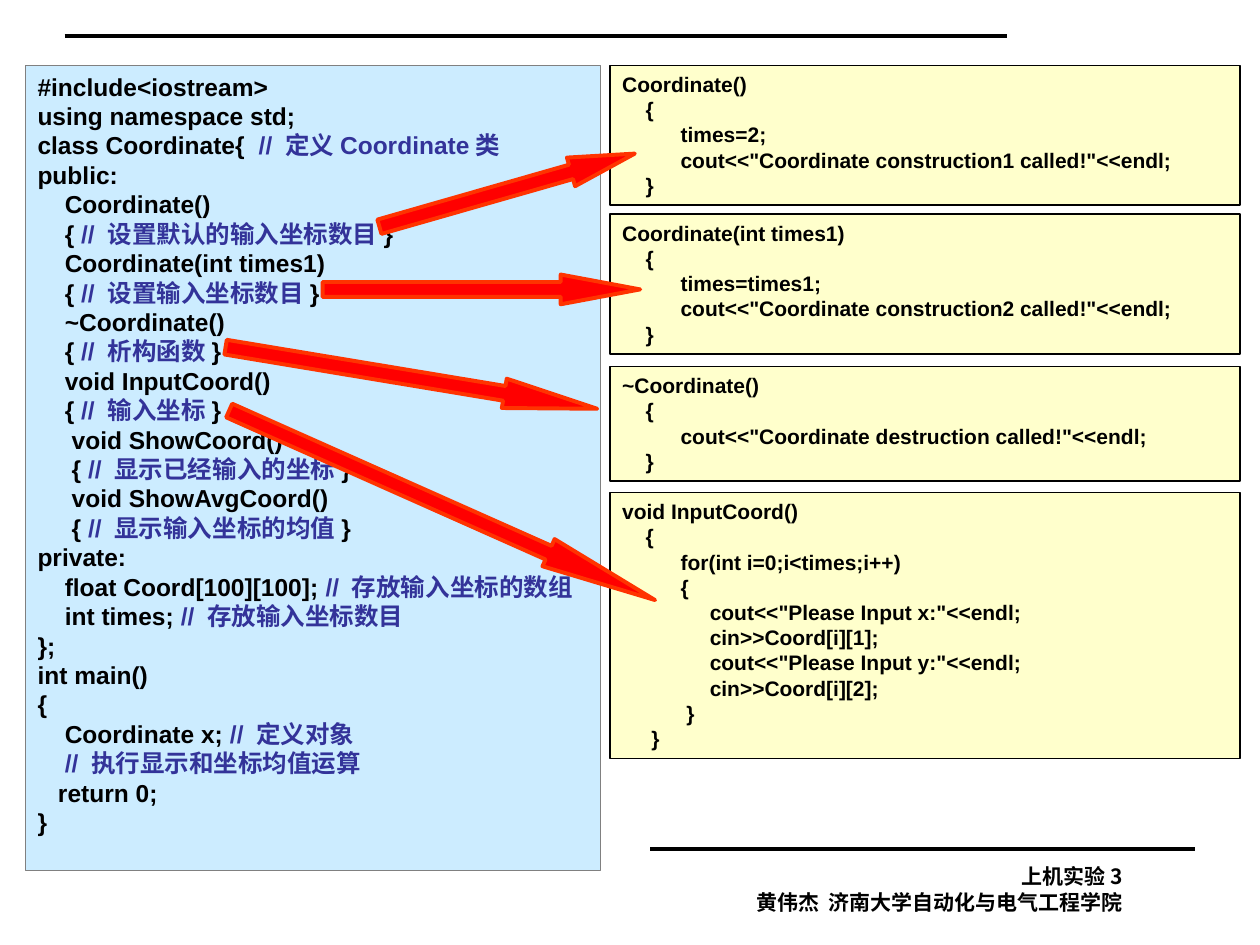
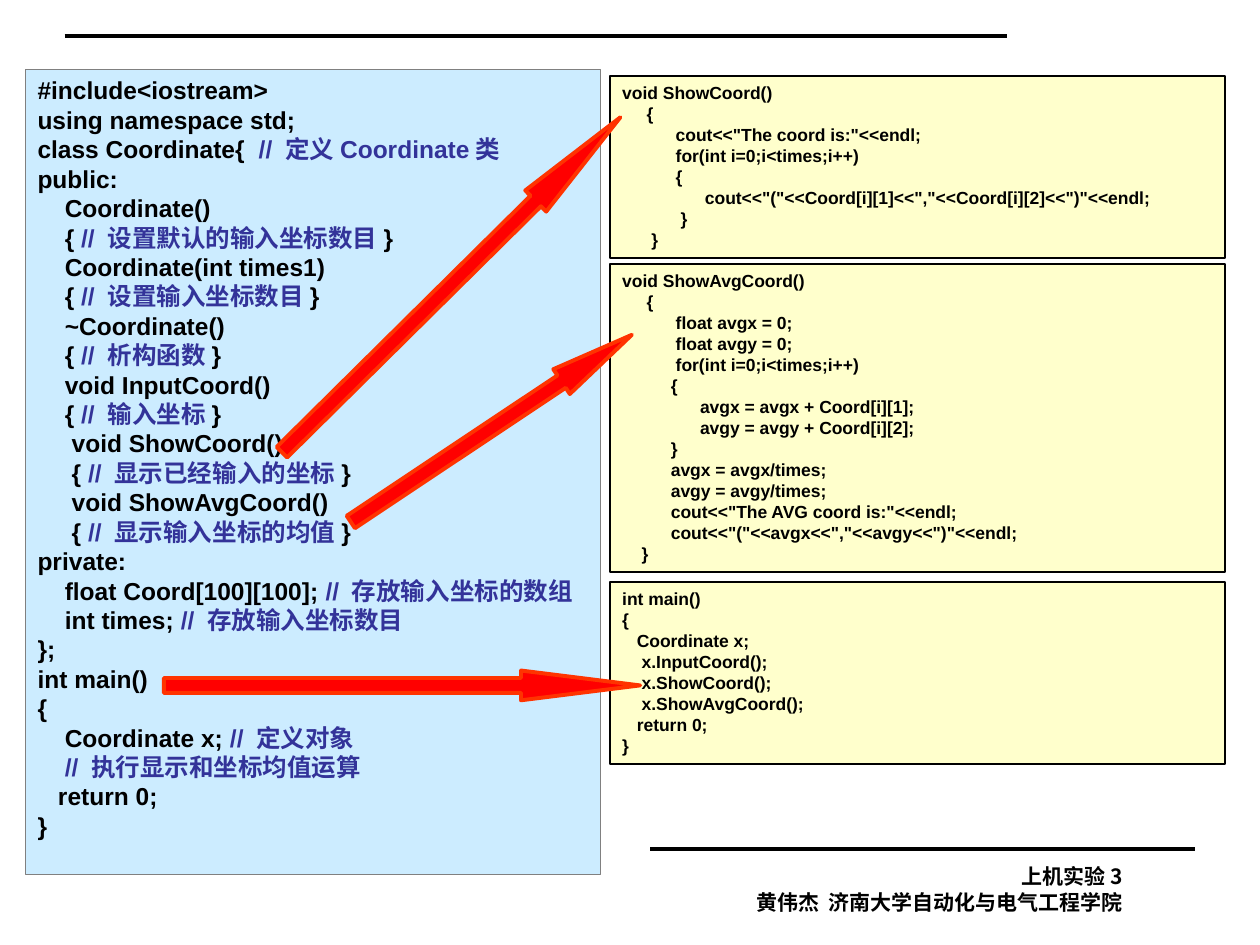
from math import atan2, degrees, hypot

from lxml.etree import SubElement
from pptx import Presentation
from pptx.dml.color import RGBColor
from pptx.enum.shapes import MSO_CONNECTOR, MSO_SHAPE
from pptx.enum.text import MSO_ANCHOR, PP_ALIGN
from pptx.oxml.ns import qn
from pptx.util import Pt

# Content
CLASS_LISTING = """\
#include<iostream>
using namespace std;
class Coordinate{  // 定义Coordinate类
public:
    Coordinate()
    { // 设置默认的输入坐标数目}
    Coordinate(int times1)
    { // 设置输入坐标数目}
    ~Coordinate()
    { // 析构函数}
    void InputCoord()
    { // 输入坐标}
     void ShowCoord()
     { // 显示已经输入的坐标}
     void ShowAvgCoord()
     { // 显示输入坐标的均值}
private:
    float Coord[100][100]; // 存放输入坐标的数组
    int times; // 存放输入坐标数目
};
int main()
{
    Coordinate x; // 定义对象
    // 执行显示和坐标均值运算
   return 0;
}"""

DEFAULT_CONSTRUCTOR = """\
Coordinate()
    {
          times=2;
          cout<<"Coordinate construction1 called!"<<endl;
    }"""

COUNT_CONSTRUCTOR = """\
Coordinate(int times1)
    {
          times=times1;
          cout<<"Coordinate construction2 called!"<<endl;
    }"""

DESTRUCTOR = """\
~Coordinate()
    {
          cout<<"Coordinate destruction called!"<<endl;
    }"""

INPUT_COORD = """\
void InputCoord()
    {
          for(int i=0;i<times;i++)
          {
               cout<<"Please Input x:"<<endl;
               cin>>Coord[i][1];
               cout<<"Please Input y:"<<endl;
               cin>>Coord[i][2];
           }
     }"""

SHOW_COORD = """\
void ShowCoord()
     {
           cout<<"The coord is:"<<endl;
           for(int i=0;i<times;i++)
           {
                 cout<<"("<<Coord[i][1]<<","<<Coord[i][2]<<")"<<endl;
            }
      }"""

SHOW_AVG_COORD = """\
void ShowAvgCoord()
     {
           float avgx = 0;
           float avgy = 0;
           for(int i=0;i<times;i++)
          {
                avgx = avgx + Coord[i][1];
                avgy = avgy + Coord[i][2];
          }
          avgx = avgx/times;
          avgy = avgy/times;
          cout<<"The AVG coord is:"<<endl;
          cout<<"("<<avgx<<","<<avgy<<")"<<endl;
    }"""

MAIN_FUNCTION = """\
int main()
{
   Coordinate x;
    x.InputCoord();
    x.ShowCoord();
    x.ShowAvgCoord();
   return 0;
}"""

FOOTER = "上机实验3\n黄伟杰  济南大学自动化与电气工程学院"

SPACE_WIDTH = 0.278  # width of an Arial space, in ems


def color(hex_code):
    return RGBColor.from_string(hex_code)


def split_comment(line):
    """Return (text, is_comment) pieces of one line of code."""
    code, slashes, comment = line.partition("//")
    closing = "}" if comment.endswith("}") else ""
    pieces = [(code, False), (slashes + comment.removesuffix("}"), True), (closing, False)]
    return [piece for piece in pieces if piece[0]]


def write_text(frame, text, *, size, font="Arial", ink="000000", comment_ink="333399",
               align=PP_ALIGN.LEFT, leading=1.2):
    """Fill a frame line by line; leading spaces become a paragraph indent."""
    frame.word_wrap = True
    frame.vertical_anchor = MSO_ANCHOR.TOP
    for number, line in enumerate(text.split("\n")):
        paragraph = frame.add_paragraph() if number else frame.paragraphs[0]
        paragraph.alignment = align
        paragraph.line_spacing = Pt(leading * size)
        code = line.lstrip()
        indent = (len(line) - len(code)) * SPACE_WIDTH * size
        properties = paragraph._p.get_or_add_pPr()
        properties.set("marL", str(Pt(indent)))
        properties.set("indent", "0")
        for piece, is_comment in split_comment(code):
            run = paragraph.add_run()
            run.text = piece
            run.font.size = Pt(size)
            run.font.bold = True
            run.font.name = font
            run.font.color.rgb = color(comment_ink if is_comment else ink)
            east_asian = SubElement(run._r.get_or_add_rPr(), qn("a:ea"))
            east_asian.set("typeface", Deck.CJK_FONT)


class Deck:
    CJK_FONT = "Noto Sans CJK SC"
    LISTING_LEFT, LISTING_WIDTH, LISTING_HEIGHT = 14.4, 329, 460
    PANEL_LEFT = 348.5
    ARROW_HEIGHT = 17

    def __init__(self):
        self.presentation = Presentation()
        self.presentation.slide_width = Pt(720)
        self.presentation.slide_height = Pt(540)
        self.slide = None

    def new_slide(self):
        """Start a slide with its two rules and the footer."""
        self.slide = self.presentation.slides.add_slide(self.presentation.slide_layouts[6])
        self.rule(37, 575.5, 20.4)
        self.rule(371.5, 683, 485.4)
        footer = self.slide.shapes.add_textbox(Pt(382.3), Pt(488.9), Pt(266.4), Pt(51))
        write_text(footer.text_frame, FOOTER, size=12, font=self.CJK_FONT,
                   align=PP_ALIGN.RIGHT, leading=1.27)

    def rule(self, left, right, y):
        line = self.slide.shapes.add_connector(
            MSO_CONNECTOR.STRAIGHT, Pt(left), Pt(y), Pt(right), Pt(y))
        line.line.color.rgb = color("000000")
        line.line.width = Pt(2.25)
        SubElement(line._element.spPr, qn("a:effectLst"))

    def shape(self, kind, left, top, width, height, fill, outline, outline_width):
        shape = self.slide.shapes.add_shape(kind, Pt(left), Pt(top), Pt(width), Pt(height))
        shape.shadow.inherit = False
        shape.fill.solid()
        shape.fill.fore_color.rgb = color(fill)
        shape.line.color.rgb = color(outline)
        shape.line.width = Pt(outline_width)
        return shape

    def listing(self, top):
        box = self.shape(MSO_SHAPE.RECTANGLE, self.LISTING_LEFT, top, self.LISTING_WIDTH,
                         self.LISTING_HEIGHT, "CCECFF", "808080", 0.75)
        write_text(box.text_frame, CLASS_LISTING, size=14)

    def panel(self, code, top, width, size):
        """A function body; the height follows from the number of lines."""
        height = 1.2 * size * len(code.split("\n")) + 8
        box = self.shape(MSO_SHAPE.RECTANGLE, self.PANEL_LEFT, top, width, height,
                         "FFFFCC", "000000", 1)
        write_text(box.text_frame, code, size=size)

    def arrow(self, tail, tip):
        """A block arrow between two points; its head is a quarter of its length."""
        (x1, y1), (x2, y2) = tail, tip
        length = hypot(x2 - x1, y2 - y1)
        block = self.shape(MSO_SHAPE.RIGHT_ARROW, (x1 + x2 - length) / 2,
                           (y1 + y2 - self.ARROW_HEIGHT) / 2, length, self.ARROW_HEIGHT,
                           "FF0000", "FF3300", 2.25)
        block.adjustments[0] = 0.5
        block.adjustments[1] = length / (4 * self.ARROW_HEIGHT)
        block.rotation = degrees(atan2(y2 - y1, x2 - x1)) % 360


deck = Deck()

# Slide 1: constructors, destructor and input
deck.new_slide()
deck.listing(top=37.4)
for body, top in [(DEFAULT_CONSTRUCTOR, 37.4), (COUNT_CONSTRUCTOR, 122.4),
                  (DESTRUCTOR, 209.5), (INPUT_COORD, 281.5)]:
    deck.panel(body, top, width=360, size=12)
for tail, tip in [((216.8, 129.6), (362.8, 87.8)), ((184.3, 165.4), (365.8, 165.4)),
                  ((128.9, 198.4), (341.3, 233.6)), ((131, 234.6), (374.4, 342.9))]:
    deck.arrow(tail, tip)

# Slide 2: output functions and main
deck.new_slide()
deck.listing(top=39.6)
for body, top in [(SHOW_COORD, 43.4), (SHOW_AVG_COORD, 151), (MAIN_FUNCTION, 332.4)]:
    deck.panel(body, top, width=351.5, size=10)
for tail, tip in [((161.1, 258.4), (354.5, 67)), ((200.5, 298.3), (361.1, 191.3)),
                  ((93.6, 391.7), (365.8, 391.7))]:
    deck.arrow(tail, tip)

deck.presentation.save("out.pptx")
